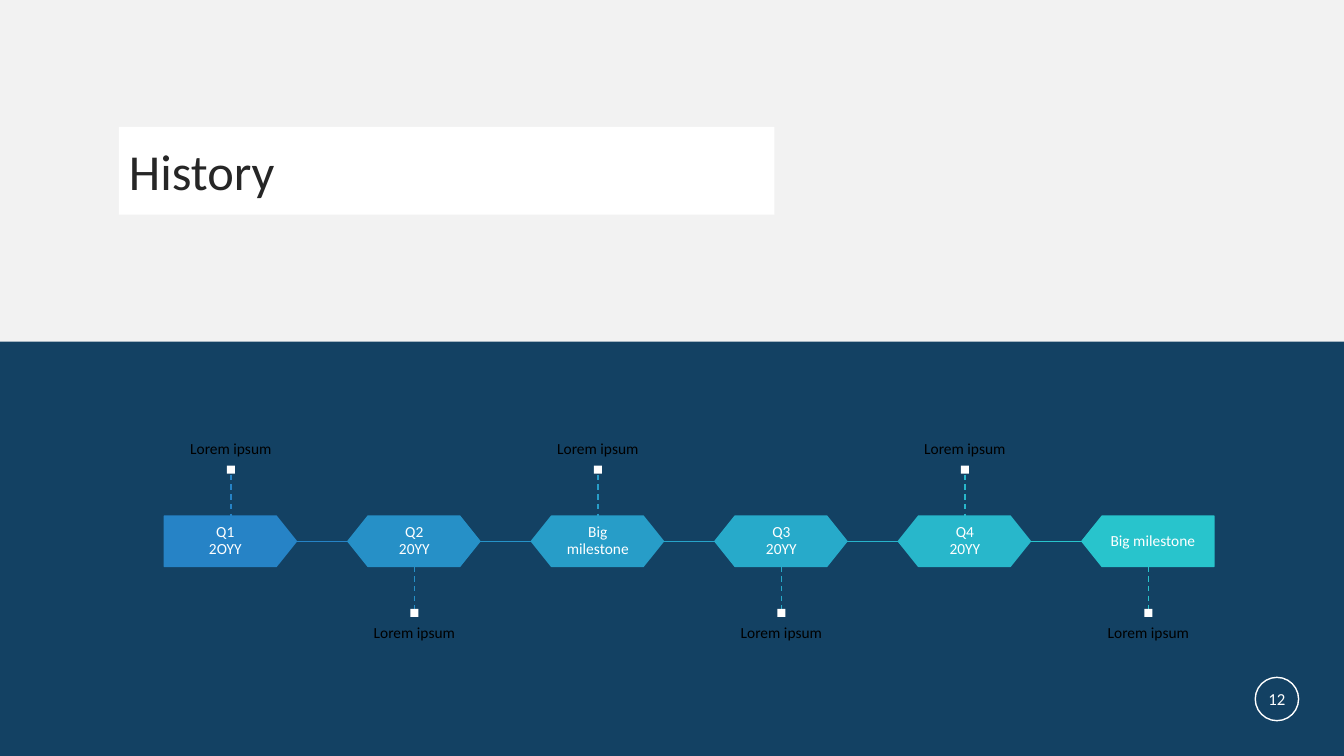
"""Build a history slide with a six-stage timeline."""
from dataclasses import dataclass

from lxml.etree import SubElement
from pptx import Presentation
from pptx.dml.color import RGBColor
from pptx.enum.dml import MSO_LINE
from pptx.enum.shapes import MSO_CONNECTOR, MSO_SHAPE
from pptx.enum.text import MSO_ANCHOR, PP_ALIGN
from pptx.oxml.ns import qn
from pptx.util import Emu, Pt


@dataclass(frozen=True)
class Theme:
    """Hold the colours, font and type sizes."""
    font: str = "Calibri"
    navy: str = "134163"
    pale: str = "F2F2F2"
    white: str = "FFFFFF"
    ink: str = "262626"
    black: str = "000000"
    title: int = 36
    body: int = 11
    number: int = 12


THEME = Theme()
STAGES = [
    ("Q1\v2OYY", "2683C6", "2683C6"),
    ("Q2\v20YY", "2690C7", "2693C8"),
    ("Big milestone", "279DC8", "27A3C9"),
    ("Q3\v20YY", "27AACA", "27B3CB"),
    ("Q4\v20YY", "28B7CB", "28C4CC"),
    ("Big milestone", "28C4CC", None),
]
LEFT, TOP, STEP = 163, 512, 182
STAGE_W, STAGE_H = 131, 50
STEM, MARK = 42, 8
LABEL_W, LABEL_H = 182, 133


def px(n):
    """Turn pixels, 100 to the inch, into EMU."""
    return Emu(n * 9144)


def rgb(color):
    """Return a colour object for a hex string."""
    return RGBColor.from_string(color)


def set_text(sp, text, size, color, align=PP_ALIGN.CENTER,
             anchor=MSO_ANCHOR.MIDDLE, inset=(0, 0), spacing=None):
    """Write and format one paragraph in a shape."""
    tf = sp.text_frame
    tf.word_wrap = True
    tf.vertical_anchor = anchor
    tf.margin_left = tf.margin_right = px(inset[0])
    tf.margin_top = tf.margin_bottom = px(inset[1])
    p = tf.paragraphs[0]
    p.text = text
    p.alignment = align
    p.line_spacing = spacing
    for br in p._p.findall(qn("a:br")):
        SubElement(br, qn("a:rPr"), sz=str(size * 100))
    for r in p.runs:
        r.font.name = THEME.font
        r.font.size = Pt(size)
        r.font.color.rgb = rgb(color)


def add_box(s, kind, x, y, w, h, fill=None, line=None):
    """Add a preset shape with optional fill and outline."""
    sp = s.shapes.add_shape(kind, px(x), px(y), px(w), px(h))
    sp.shadow.inherit = False
    if fill:
        sp.fill.solid()
        sp.fill.fore_color.rgb = rgb(fill)
    else:
        sp.fill.background()
    if line:
        sp.line.color.rgb = rgb(line)
        sp.line.width = Pt(1)
    else:
        sp.line.fill.background()
    return sp


def add_text(s, text, x, y, w, h, color, anchor, inset):
    """Add a centred body text box."""
    sp = s.shapes.add_textbox(px(x), px(y), px(w), px(h))
    set_text(sp, text, THEME.body, color, anchor=anchor, inset=inset, spacing=0.9)


def add_line(s, x1, y1, x2, y2, color, dash=None):
    """Add a straight line."""
    cxn = s.shapes.add_connector(MSO_CONNECTOR.STRAIGHT, px(x1), px(y1), px(x2), px(y2))
    cxn.line.color.rgb = rgb(color)
    cxn.line.width = Pt(1)
    cxn.line.dash_style = dash
    SubElement(cxn._element.spPr, qn("a:effectLst"))


def add_stage(s, i, name, color):
    """Add a stage arrow with its name."""
    x = LEFT + i * STEP
    first, last = i == 0, i == len(STAGES) - 1
    kind = MSO_SHAPE.PENTAGON if first or last else MSO_SHAPE.HEXAGON
    sp = add_box(s, kind, x, TOP, STAGE_W, STAGE_H, color, color)
    sp.adjustments[0] = 0.4
    if last:
        sp.rotation = 180
    if first or last:
        area = (x + 10 * last, TOP, STAGE_W - 10, STAGE_H)
    else:
        area = (x + 18, TOP + 7, STAGE_W - 35, STAGE_H - 14)
    add_text(s, name, *area, THEME.white, MSO_ANCHOR.MIDDLE, (9, 9))


def add_callout(s, i, text, color):
    """Add a dashed stem, marker and label, above or below by turns."""
    mid = LEFT + i * STEP + STAGE_W // 2 + 1
    if i % 2 == 0:
        start, end = TOP - STEM + 1, TOP
        mark_y, label_y, anchor = start - MARK - 1, start - MARK - LABEL_H, MSO_ANCHOR.BOTTOM
    else:
        start, end = TOP + STAGE_H, TOP + STAGE_H + STEM
        mark_y, label_y, anchor = end, end + MARK, MSO_ANCHOR.TOP
    add_text(s, text, mid - LABEL_W // 2, label_y, LABEL_W, LABEL_H,
             THEME.black, anchor, (0, 11))
    add_line(s, mid, start, mid, end, color, MSO_LINE.DASH)
    add_box(s, MSO_SHAPE.RECTANGLE, mid - MARK // 2, mark_y, MARK, MARK, THEME.white)


def main():
    """Build and save the slide."""
    prs = Presentation()
    prs.slide_width, prs.slide_height = px(1333), px(750)
    s = prs.slides.add_slide(prs.slide_layouts[6])
    s.background.fill.solid()
    s.background.fill.fore_color.rgb = rgb(THEME.navy)
    add_box(s, MSO_SHAPE.RECTANGLE, 0, 0, 1333, 339, THEME.pale)
    title = add_box(s, MSO_SHAPE.RECTANGLE, 118, 126, 650, 87, THEME.white)
    set_text(title, "History", THEME.title, THEME.ink, PP_ALIGN.LEFT, inset=(10, 5))
    for i, (name, color, link) in enumerate(STAGES):
        add_stage(s, i, name, color)
        if link:
            x, y = LEFT + i * STEP + STAGE_W, TOP + STAGE_H // 2
            add_line(s, x, y, LEFT + (i + 1) * STEP, y, link)
        add_callout(s, i, "Lorem ipsum", color)
    number = add_box(s, MSO_SHAPE.OVAL, 1245, 672, 43, 43, line=THEME.white)
    set_text(number, "12", THEME.number, THEME.white)
    prs.save("out.pptx")


if __name__ == "__main__":
    main()
